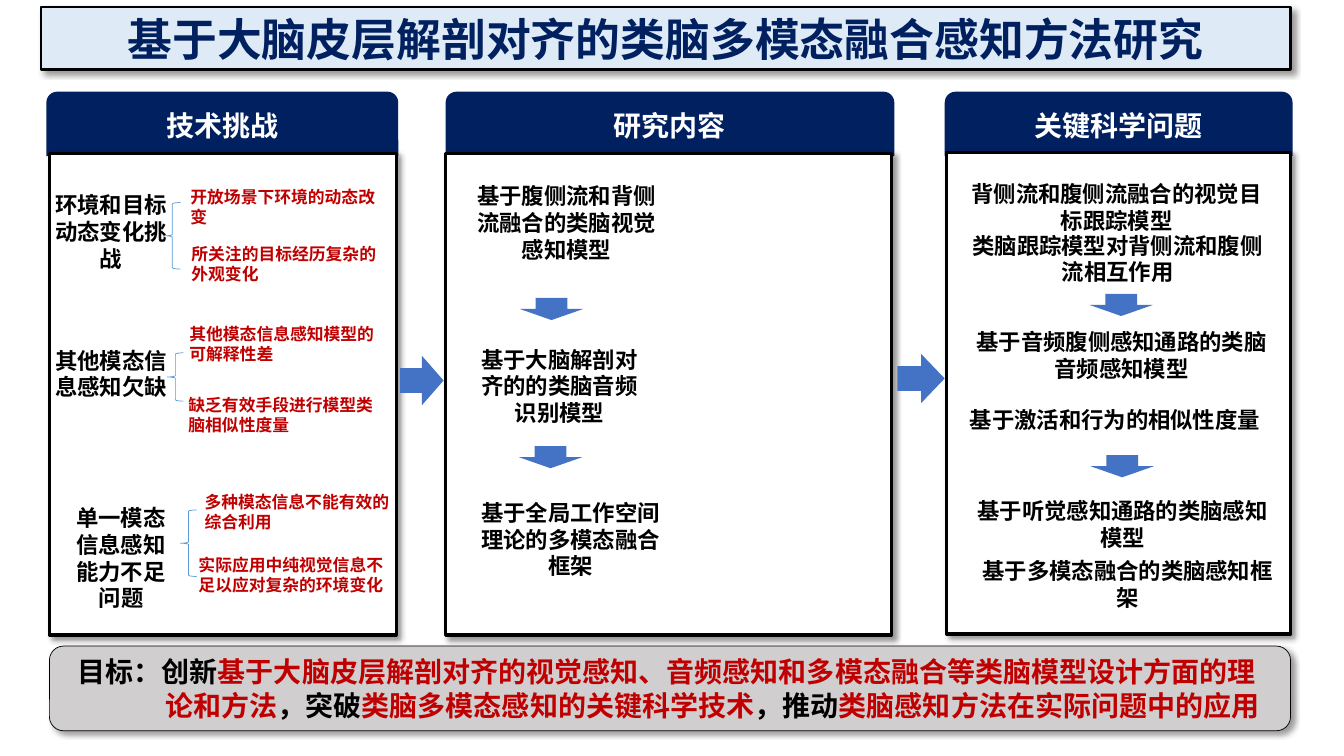
import dataclasses

import pptx
import pptx.dml.color
import pptx.enum.shapes
import pptx.enum.text
import pptx.oxml.ns
import pptx.util
from lxml import etree

Inches = pptx.util.Inches
SHAPES = pptx.enum.shapes.MSO_SHAPE
ALIGN = pptx.enum.text.PP_ALIGN
ANCHOR = pptx.enum.text.MSO_ANCHOR


@dataclasses.dataclass(frozen=True)
class Theme:
    font: str = "Noto Sans CJK SC"
    navy: str = "002060"
    red: str = "C00000"
    black: str = "000000"
    white: str = "FFFFFF"
    arrow: str = "4472C4"
    brace: str = "5B9BD5"
    title_fill: str = "DEEBF7"
    goal_fill: str = "D0CECE"
    title_size: int = 32
    heading_size: int = 20
    body_size: int = 16
    detail_size: int = 12


THEME = Theme()

# Column panels: heading, heading left and width, body left, top and width
PANELS = [
    ("技术挑战", 0.46, 3.49, 0.49, 1.52, 3.44),
    ("研究内容", 4.42, 4.45, 4.42, 1.52, 4.42),
    ("关键科学问题", 9.37, 3.45, 9.39, 1.51, 3.41),
]

# Challenges: text and place, brace place, then the details with left and top
CHALLENGES = [
    ("环境和目标动态变化挑战", (0.44, 1.85, 1.32, 0.91), (1.63, 2.01, 0.16, 0.66),
     [("开放场景下环境的动态改变", 1.79, 1.8),
      ("所关注的目标经历复杂的外观变化", 1.8, 2.37)]),
    ("其他模态信息感知欠缺", (0.44, 3.39, 1.32, 0.91), (1.66, 3.5, 0.16, 0.48),
     [("其他模态信息感知模型的可解释性差", 1.78, 3.16),
      ("缺乏有效手段进行模型类脑相似性度量", 1.77, 3.87)]),
    ("单一模态信息感知能力不足问题", (0.59, 4.95, 1.22, 1.18), (1.79, 5.06, 0.16, 0.66),
     [("多种模态信息不能有效的综合利用", 1.93, 4.83),
      ("实际应用中纯视觉信息不足以应对复杂的环境变化", 1.87, 5.45)]),
]

# Research topics: text, top, width
TOPICS = [
    ("基于腹侧流和背侧流融合的类脑视觉感知模型", 1.76, 2.1),
    ("基于大脑解剖对齐的的类脑音频识别模型", 3.38, 1.96),
    ("基于全局工作空间理论的多模态融合框架", 4.9, 2.18),
]

# Scientific questions: text, left, top, alignment
QUESTIONS = [
    ("背侧流和腹侧流融合的视觉目标跟踪模型", 9.5, 1.74, ALIGN.CENTER),
    ("类脑跟踪模型对背侧流和腹侧流相互作用", 9.51, 2.25, ALIGN.CENTER),
    ("基于音频腹侧感知通路的类脑音频感知模型", 9.55, 3.21, ALIGN.CENTER),
    ("基于激活和行为的相似性度量", 9.52, 3.98, ALIGN.LEFT),
    ("基于听觉感知通路的类脑感知模型", 9.56, 4.88, ALIGN.CENTER),
    ("基于多模态融合的类脑感知框架", 9.61, 5.48, ALIGN.CENTER),
]

# Arrows: place and rotation
ARROWS = [((3.97, 3.53, 0.43, 0.49), 0), ((8.9, 3.51, 0.47, 0.49), 0)] + [
    ((left, top, 0.22, 0.63), 90)
    for left, top in [(5.36, 2.75), (5.35, 4.22), (11.01, 2.71), (11.02, 4.31)]
]

GOAL = [
    ("目标：创新", THEME.black),
    ("基于大脑皮层解剖对齐的视觉感知、音频感知和多模态融合等类脑模型设计方面的理论和方法", THEME.red),
    ("，突破", THEME.black),
    ("类脑多模态感知的关键科学技术", THEME.red),
    ("，推动", THEME.black),
    ("类脑感知方法在实际问题中的应用", THEME.red),
]


def rgb(code):
    return pptx.dml.color.RGBColor.from_string(code)


def add_shadow(shape):
    effects = shape._element.spPr.find(pptx.oxml.ns.qn("a:effectLst"))
    shadow = etree.SubElement(
        effects, pptx.oxml.ns.qn("a:outerShdw"), blurRad=str(pptx.util.Pt(4)),
        dist=str(pptx.util.Pt(3)), dir=str(45 * 60000), algn="tl", rotWithShape="0")
    color = etree.SubElement(shadow, pptx.oxml.ns.qn("a:srgbClr"), val=THEME.black)
    etree.SubElement(color, pptx.oxml.ns.qn("a:alpha"), val="40000")


def add_shape(page, kind, place, fill=None, line=None, width=0, shadow=False):
    shape = page.shapes.add_shape(kind, *map(Inches, place))
    shape.shadow.inherit = False
    if fill:
        shape.fill.solid()
        shape.fill.fore_color.rgb = rgb(fill)
    else:
        shape.fill.background()
    if line:
        shape.line.color.rgb = rgb(line)
        shape.line.width = pptx.util.Pt(width)
    else:
        shape.line.fill.background()
    if shadow:
        add_shadow(shape)
    return shape


def write(box, spans, size, align=ALIGN.CENTER, anchor=ANCHOR.MIDDLE):
    frame = box.text_frame
    frame.word_wrap = True
    frame.vertical_anchor = anchor
    para = frame.paragraphs[0]
    para.alignment = align
    for text, color in spans:
        span = para.add_run()
        span.text = text
        span.font.name = THEME.font
        span.font.size = pptx.util.Pt(size)
        span.font.bold = True
        span.font.color.rgb = rgb(color)
        etree.SubElement(span.font._element, pptx.oxml.ns.qn("a:ea"), typeface=THEME.font)
    return para


def add_label(page, text, place, size=THEME.body_size, color=THEME.black, align=ALIGN.CENTER):
    box = page.shapes.add_textbox(*map(Inches, place))
    write(box, [(text, color)], size, align, ANCHOR.TOP)


def add_panel(page, heading, head_left, head_width, left, top, width):
    head = add_shape(page, SHAPES.ROUND_2_SAME_RECTANGLE,
                     (head_left, 0.91, head_width, 0.64), THEME.navy)
    write(head, [(heading, THEME.white)], THEME.heading_size)
    add_shape(page, SHAPES.RECTANGLE, (left, top, width, 4.78),
              THEME.white, THEME.black, 2.25, shadow=True)


def add_challenge(page, text, place, brace, details):
    add_label(page, text, place)
    add_shape(page, SHAPES.LEFT_BRACE, brace, line=THEME.brace, width=0.5)
    for detail, left, top in details:
        add_label(page, detail, (left, top, 2.05, 0.5),
                  THEME.detail_size, THEME.red, ALIGN.LEFT)


def add_goal(page):
    banner = add_shape(page, SHAPES.ROUNDED_RECTANGLE, (0.49, 6.41, 12.31, 0.84),
                       THEME.goal_fill, THEME.black, 0.5, shadow=True)
    para = write(banner, GOAL, THEME.heading_size, ALIGN.LEFT)
    properties = para._p.get_or_add_pPr()
    properties.set("marL", str(Inches(1.01)))
    properties.set("indent", str(Inches(-0.87)))


def main():
    deck = pptx.Presentation()
    deck.slide_width, deck.slide_height = Inches(13.33), Inches(7.5)
    page = deck.slides.add_slide(deck.slide_layouts[6])

    # Title bar
    title = add_shape(page, SHAPES.RECTANGLE, (0.41, 0.07, 12.39, 0.62),
                      THEME.title_fill, THEME.black, 1.5, shadow=True)
    write(title, [("基于大脑皮层解剖对齐的类脑多模态融合感知方法研究", THEME.navy)], THEME.title_size)

    # Three columns and their content
    for panel in PANELS:
        add_panel(page, *panel)
    for challenge in CHALLENGES:
        add_challenge(page, *challenge)
    for text, top, width in TOPICS:
        add_label(page, text, (4.57, top, width, 0.91))
    for text, left, top, align in QUESTIONS:
        add_label(page, text, (left, top, 3.15, 0.64), align=align)

    # Flow arrows
    for place, rotation in ARROWS:
        arrow = add_shape(page, SHAPES.RIGHT_ARROW, place, THEME.arrow)
        arrow.rotation = rotation

    # Goal banner
    add_goal(page)
    deck.save("out.pptx")


if __name__ == "__main__":
    main()
